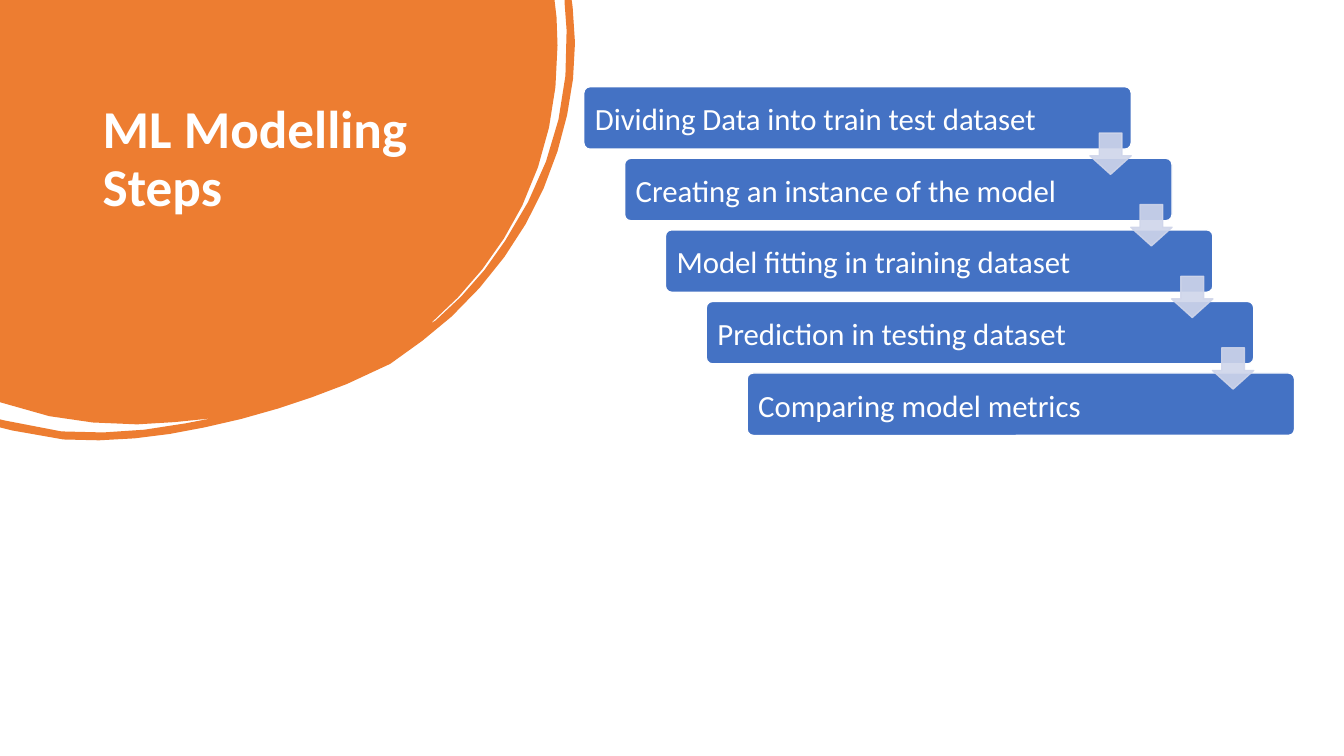
import pptx
import pptx.dml.color
import pptx.enum.shapes
import pptx.enum.text
import pptx.oxml.ns
import pptx.util
from lxml import etree

Inches, Pt = pptx.util.Inches, pptx.util.Pt
SHAPE = pptx.enum.shapes.MSO_SHAPE
ANCHOR = pptx.enum.text.MSO_ANCHOR


def paint(color, hex_string, alpha=None):
    """Set a colour, with an optional opacity in percent."""
    color.rgb = pptx.dml.color.RGBColor.from_string(hex_string)
    if alpha is not None:
        tag = pptx.oxml.ns.qn("a:srgbClr")
        for clr in color._xFill.iter(tag):
            etree.SubElement(clr, pptx.oxml.ns.qn("a:alpha"), val=str(alpha * 1000))


def write(sp, text, size, bold=False, anchor=ANCHOR.TOP, inset=(0.1, 0.05), spacing=1.0):
    tf = sp.text_frame
    tf.word_wrap = True
    tf.vertical_anchor = anchor
    tf.margin_left = tf.margin_right = Inches(inset[0])
    tf.margin_top = tf.margin_bottom = Inches(inset[1])
    p = tf.paragraphs[0]
    p.alignment = pptx.enum.text.PP_ALIGN.LEFT
    p.line_spacing = spacing
    r = p.add_run()
    r.text = text
    r.font.name, r.font.size, r.font.bold = "Calibri", Pt(size), bold
    paint(r.font.color, "FFFFFF")


prs = pptx.Presentation()
prs.slide_width, prs.slide_height = Inches(13.33), Inches(7.5)
s = prs.slides.add_slide(prs.slide_layouts[6])

# Orange blob: two numbers are a line's end, six are a cubic curve
blob = [
    (0, 0), (5.5, 0), (5.52, 0.17),
    (5.53, 0.26, 5.53, 0.36, 5.53, 0.45),
    (5.53, 1.01, 5.42, 1.54, 5.18, 2.04),
    (4.96, 2.49, 4.65, 2.88, 4.27, 3.21),
    (4.32, 3.18),
    (4.59, 2.95, 4.82, 2.69, 5.01, 2.39),
    (5.43, 1.76, 5.65, 1.07, 5.62, 0.3),
    (5.6, 0.03), (5.6, 0), (5.67, 0), (5.68, 0.07),
    (5.74, 0.54, 5.68, 1.02, 5.53, 1.5),
    (5.33, 2.14, 4.97, 2.68, 4.48, 3.14),
    (4.39, 3.23, 4.29, 3.31, 4.19, 3.38),
    (4.09, 3.46, 3.99, 3.53, 3.87, 3.61),
    (3.75, 3.69, 3.6, 3.75, 3.44, 3.81),
    (2.99, 3.99, 2.52, 4.14, 2.03, 4.24),
    (1.57, 4.34, 1.1, 4.39, 0.63, 4.36),
    (0.45, 4.34, 0.28, 4.32, 0.12, 4.27),
    (0, 4.24), (0, 4.16), (0.04, 4.17),
    (0.23, 4.23, 0.42, 4.26, 0.61, 4.28),
    (1.03, 4.31, 1.43, 4.28, 1.84, 4.2),
    (2.1, 4.15),
    (1.86, 4.18, 1.61, 4.2, 1.36, 4.21),
    (0.92, 4.21, 0.48, 4.16, 0.07, 4.01),
    (0, 3.99),
]
points = [blob[0]]
for step in blob[1:]:
    if len(step) == 2:
        points.append(step)
        continue
    x0, y0 = points[-1]
    x1, y1, x2, y2, x3, y3 = step
    pieces = max(1, round(2.5 * ((x3 - x0) ** 2 + (y3 - y0) ** 2) ** 0.5))
    for i in range(1, pieces + 1):
        t = i / pieces
        a, b, c, d = (1 - t) ** 3, 3 * t * (1 - t) ** 2, 3 * t * t * (1 - t), t ** 3
        points.append((a * x0 + b * x1 + c * x2 + d * x3,
                       a * y0 + b * y1 + c * y2 + d * y3))
points = [(Inches(x), Inches(y)) for x, y in points]
builder = s.shapes.build_freeform(*points[0])
builder.add_line_segments(points[1:], close=True)
sp = builder.convert_to_shape()
sp.shadow.inherit = False
sp.fill.solid()
paint(sp.fill.fore_color, "ED7D31")
sp.line.fill.background()

# Title
sp = s.shapes.add_textbox(Inches(0.92), Inches(0.97), Inches(3.75), Inches(1.58))
write(sp, "ML Modelling Steps", 38, bold=True, spacing=0.9)

# Staircase of bars, each with its own label box
steps = [
    "Dividing Data into train test dataset",
    "Creating an instance of the model",
    "Model fitting in training dataset",
    "Prediction in testing dataset",
    "Comparing model metrics",
]
dx, dy = Inches(1.62) // 4, Inches(0.71)
for i, text in enumerate(steps):
    left, top = Inches(5.79) + i * dx, Inches(0.86) + i * dy
    sp = s.shapes.add_shape(SHAPE.ROUNDED_RECTANGLE, left, top, Inches(5.43), Inches(0.62))
    sp.adjustments[0] = 0.1
    sp.shadow.inherit = False
    sp.fill.solid()
    paint(sp.fill.fore_color, "4472C4")
    paint(sp.line.color, "FFFFFF")
    sp.line.width = Pt(1)
    sp = s.shapes.add_textbox(left + Inches(0.02), top + Inches(0.02),
                              Inches(4.68 if i == 0 else 4.58), Inches(0.59))
    write(sp, text, 22, anchor=ANCHOR.MIDDLE, inset=(0.09, 0.09))

# Arrows from each bar to the next
for i in range(len(steps) - 1):
    sp = s.shapes.add_shape(SHAPE.DOWN_ARROW, Inches(10.81) + i * dx,
                            Inches(1.32) + i * dy, Inches(0.41), Inches(0.41))
    sp.adjustments[0], sp.adjustments[1] = 0.55, 0.45
    sp.shadow.inherit = False
    sp.fill.solid()
    sp.line.fill.solid()
    sp.line.width = Pt(1)
    for fill in (sp.fill, sp.line.fill):
        paint(fill.fore_color, "CFD5EA", alpha=90)

prs.save("out.pptx")
